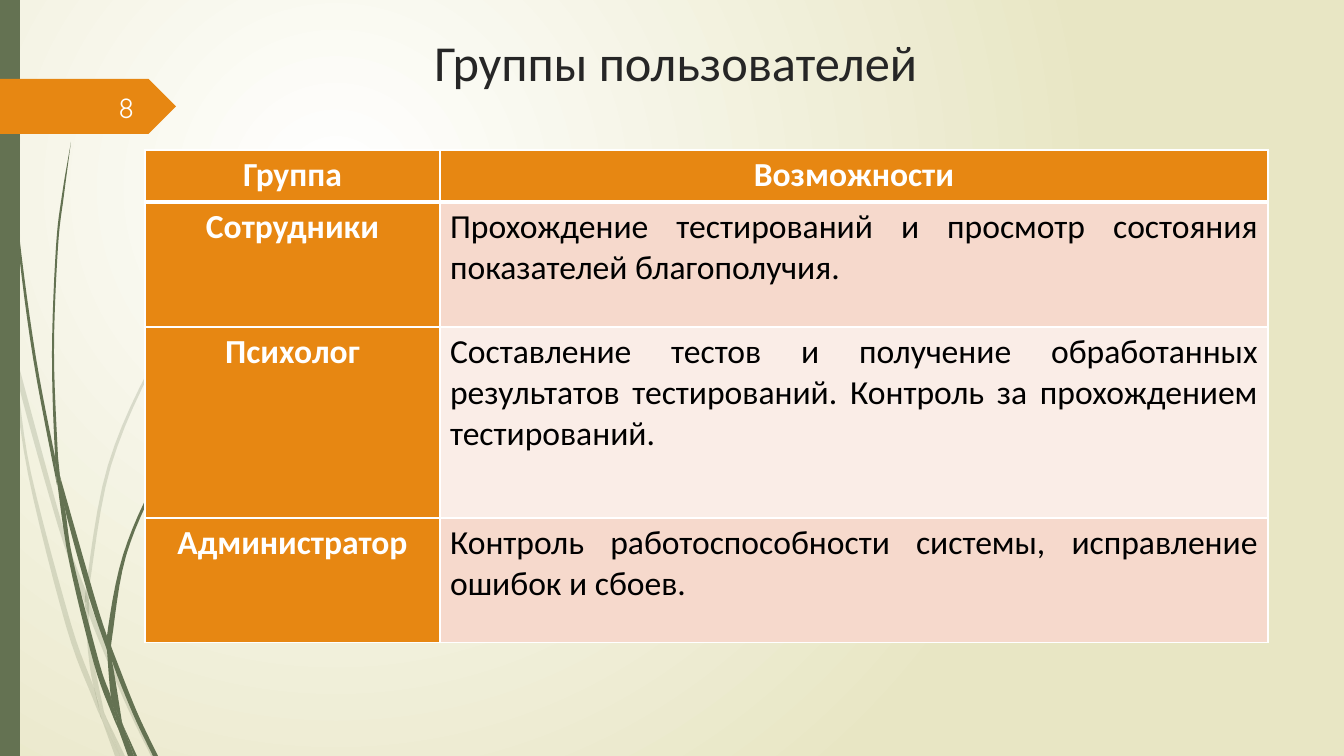
from pptx import Presentation
from pptx.dml.color import RGBColor
from pptx.enum.shapes import MSO_SHAPE
from pptx.enum.text import MSO_ANCHOR, PP_ALIGN
from pptx.oxml import parse_xml
from pptx.oxml.ns import nsdecls, qn
from pptx.util import Pt

TITLE = "Группы пользователей"
PAGE = "8"
HEADER = ("Группа", "Возможности")
GROUPS = [
    ("Сотрудники", "Прохождение тестирований и просмотр состояния показателей благополучия."),
    ("Психолог", "Составление тестов и получение обработанных результатов тестирований. "
                 "Контроль за прохождением тестирований."),
    ("Администратор", "Контроль работоспособности системы, исправление ошибок и сбоев."),
]
COLUMN_WIDTHS = (295, 828)
ROW_HEIGHTS = (52, 125, 191, 125)

GREEN, ORANGE, WHITE, SAND = "647252", "E78712", "FFFFFF", "E8E6C4"
BANDS = ("F6D9CC", "FAEDE7")

# Each piece of grass: left edge going down, then right edge going up.
PALE_GRASS = [
    ([(0, 301), (10, 347), (11, 353)], [(9, 325), (0, 284)]),
    ([(14, 348), (17, 379), (58, 526), (85, 604)], [(86, 591), (62, 524), (14, 348)]),
    ([(89, 601), (89, 615), (124, 700), (151, 756)], [(156, 756), (128, 698), (93, 612)]),
    ([(106, 717), (120, 756)], [(125, 756)]),
    ([(11, 353), (28, 474), (66, 626), (93, 699), (102, 720)],
     [(100, 713), (94, 688), (71, 624), (31, 473), (17, 379), (11, 353)]),
    ([(85, 604), (88, 651), (94, 688), (106, 717)], [(104, 712), (92, 651), (89, 615)]),
    ([(314, 154), (270, 199), (230, 246), (159, 351), (108, 465), (86, 589), (89, 601)],
     [(89, 589), (111, 466), (161, 352), (231, 247), (270, 200), (314, 154)]),
    ([(102, 720), (115, 756)], [(120, 756)]),
    ([(86, 591), (85, 604), (89, 615)], [(89, 601)]),
    ([(94, 688), (100, 713), (102, 720), (120, 756)], [(106, 717), (97, 698)]),
]
GREEN_GRASS = [
    ([(3, 0), (4, 48), (7, 111), (17, 235), (33, 358), (57, 485)],
     [(55, 457), (36, 358), (19, 234), (8, 110), (5, 48), (4, 0)]),
    ([(60, 476), (65, 509), (89, 597), (107, 650)], [(107, 636), (94, 595), (60, 476)]),
    ([(111, 646), (112, 661), (133, 714), (153, 756)], [(158, 756), (137, 712), (114, 654)]),
    ([(57, 481), (69, 561), (94, 664), (112, 714), (118, 728)],
     [(117, 723), (111, 697), (99, 662), (73, 560), (65, 509), (57, 481)]),
    ([(71, 142), (62, 195), (56, 247), (52, 352), (55, 453), (60, 476)],
     [(58, 457), (54, 352), (58, 247), (64, 195), (71, 142)]),
    ([(123, 725), (134, 756)], [(137, 756)]),
    ([(55, 453), (55, 457), (57, 481), (65, 509)], [(60, 476)]),
    ([(262, 347), (233, 376), (206, 408), (157, 478), (123, 555), (107, 636), (111, 646)],
     [(112, 638), (126, 556), (159, 480), (207, 409), (233, 377), (262, 347)]),
    ([(118, 728), (128, 756)], [(132, 756)]),
    ([(107, 650), (111, 697), (117, 712), (123, 725)], [(122, 722), (112, 661), (107, 650)]),
    ([(107, 636), (107, 650), (112, 661)], [(111, 646)]),
    ([(111, 697), (117, 723), (118, 728), (131, 756)], [(134, 756), (123, 725), (117, 712)]),
]


def px(length):
    """Turn pixels into EMU."""
    return round(length * 12192000 / 1344)


def box(*lengths):
    """Turn left, top, width and height into EMU."""
    return [px(length) for length in lengths]


def color(code):
    """Turn a hex string into a colour."""
    return RGBColor.from_string(code)


def write(frame, text, size=24, font="Calibri", ink=WHITE, bold=False, align=PP_ALIGN.CENTER):
    """Put one formatted paragraph into a text frame."""
    frame.word_wrap = True
    paragraph = frame.paragraphs[0]
    paragraph.alignment = align
    run = paragraph.add_run()
    run.text = text
    run.font.size, run.font.name, run.font.bold = Pt(size), font, bold
    run.font.color.rgb = color(ink)


def paint(shape, fill, alpha=100):
    """Fill a shape plainly, without line or shadow."""
    shape.shadow.inherit = False
    shape.line.fill.background()
    shape.fill.solid()
    shape.fill.fore_color.rgb = color(fill)
    if alpha < 100:
        shade = shape.fill._xPr.find(".//" + qn("a:srgbClr"))
        shade.append(parse_xml(f'<a:alpha {nsdecls("a")} val="{alpha * 1000}"/>'))


def smooth(points, steps=6):
    """Sample a Catmull-Rom curve through the points."""
    padded = [points[0], *points, points[-1]]
    curve = []
    for a, b, c, d in zip(padded, padded[1:], padded[2:], padded[3:]):
        for step in range(steps):
            t = step / steps
            curve.append(tuple(
                q + t / 2 * (r - p + t * (2 * p - 5 * q + 4 * r - s + t * (3 * (q - r) + s - p)))
                for p, q, r, s in zip(a, b, c, d)))
    return curve + [points[-1]]


def draw_grass(slide, edges, alpha):
    """Draw one piece of grass between its two edges."""
    left, right = edges
    outline = [box(*point) for point in smooth(left) + smooth(right)]
    builder = slide.shapes.build_freeform(*outline[0])
    builder.add_line_segments(outline[1:], close=True)
    paint(builder.convert_to_shape(), GREEN, alpha)


def set_background(slide):
    """Give the slide a circular white to sand gradient."""
    fill = slide.background.fill
    fill.gradient()
    for stop, shade, position in zip(fill.gradient_stops, (WHITE, SAND), (0, 1)):
        stop.color.rgb, stop.position = color(shade), position
    linear = slide._element.find(".//" + qn("a:lin"))
    linear.getparent().replace(linear, parse_xml(
        f'<a:path {nsdecls("a")} path="circle">'
        '<a:fillToRect l="50000" t="50000" r="100000" b="100000"/></a:path>'))


def set_borders(cell, top, bottom):
    """Draw white cell borders, with widths in points."""
    widths = {"L": 1, "R": 1, "T": top, "B": bottom}
    for index, (side, width) in enumerate(widths.items()):
        cell._tc.get_or_add_tcPr().insert(index, parse_xml(
            f'<a:ln{side} {nsdecls("a")} w="{Pt(width)}"><a:solidFill>'
            f'<a:srgbClr val="{WHITE}"/></a:solidFill></a:ln{side}>'))


def add_groups_table(slide):
    """Add the table of user groups."""
    rows = [HEADER, *GROUPS]
    table = slide.shapes.add_table(
        len(rows), len(HEADER), *box(145, 150, sum(COLUMN_WIDTHS), sum(ROW_HEIGHTS))).table
    for column, width in zip(table.columns, COLUMN_WIDTHS):
        column.width = px(width)
    for r, (texts, height) in enumerate(zip(rows, ROW_HEIGHTS)):
        table.rows[r].height = px(height)
        for c, text in enumerate(texts):
            cell = table.cell(r, c)
            heading = r == 0 or c == 0
            cell.fill.solid()
            cell.fill.fore_color.rgb = color(ORANGE if heading else BANDS[(r - 1) % 2])
            set_borders(cell, top=3 if r == 1 else 1, bottom=3 if r == 0 else 1)
            write(cell.text_frame, text, bold=heading, ink=WHITE if heading else "000000",
                  align=PP_ALIGN.CENTER if heading else PP_ALIGN.JUSTIFY)


deck = Presentation()
deck.slide_width, deck.slide_height = box(1344, 756)
slide = deck.slides.add_slide(deck.slide_layouts[5])
set_background(slide)

for pieces, alpha in ((PALE_GRASS, 20), (GREEN_GRASS, 100)):
    for edges in pieces:
        draw_grass(slide, edges, alpha)
paint(slide.shapes.add_shape(MSO_SHAPE.RECTANGLE, *box(0, 0, 20, 756)), GREEN)
page_tag = slide.shapes.add_shape(MSO_SHAPE.PENTAGON, *box(0, 79, 176, 55))
page_tag.adjustments[0] = 0.5
paint(page_tag, ORANGE)

title = slide.shapes.title
title.left, title.top, title.width, title.height = box(135, 26, 1082, 78)
title.text_frame.vertical_anchor = MSO_ANCHOR.TOP
write(title.text_frame, TITLE, size=36, ink="262626")

add_groups_table(slide)

page_number = slide.shapes.add_textbox(*box(58, 87, 86, 40)).text_frame
page_number.vertical_anchor = MSO_ANCHOR.MIDDLE
write(page_number, PAGE, size=20, font="Quicksand", ink="FEFFFF", align=PP_ALIGN.RIGHT)

deck.save("out.pptx")
